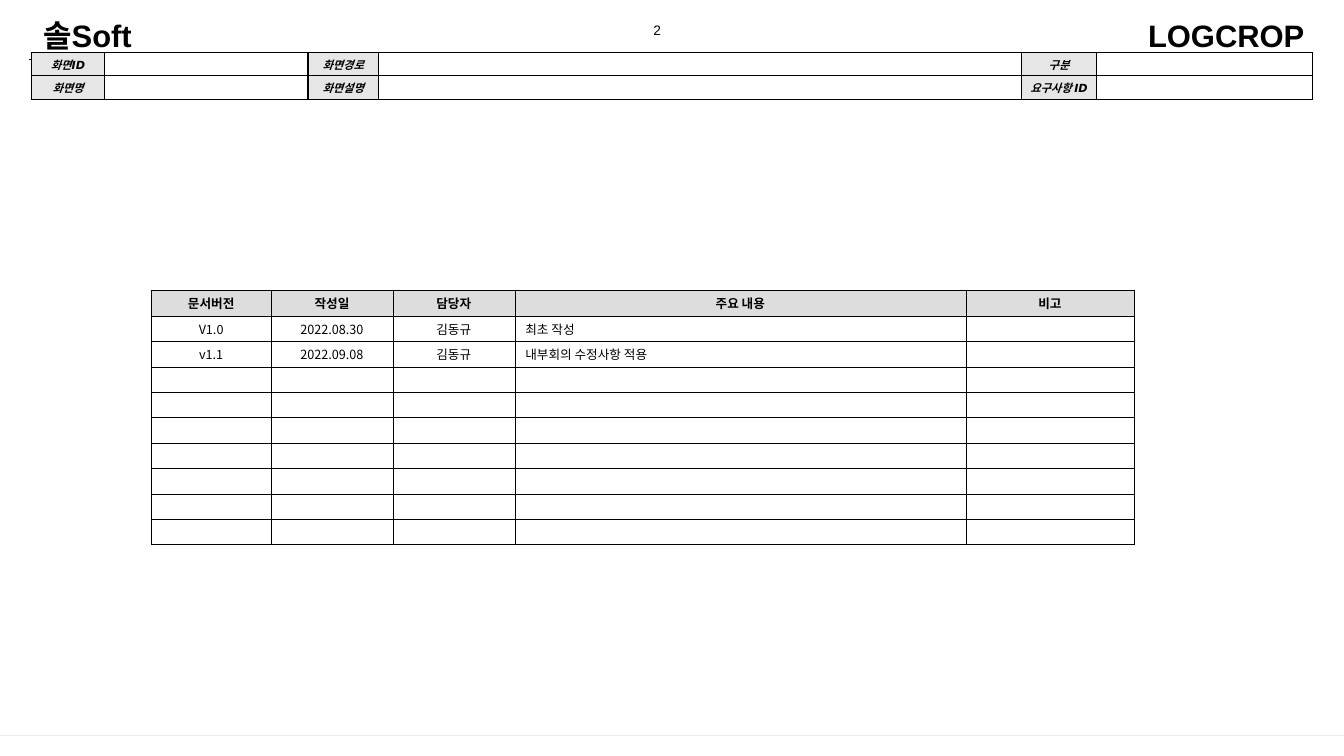
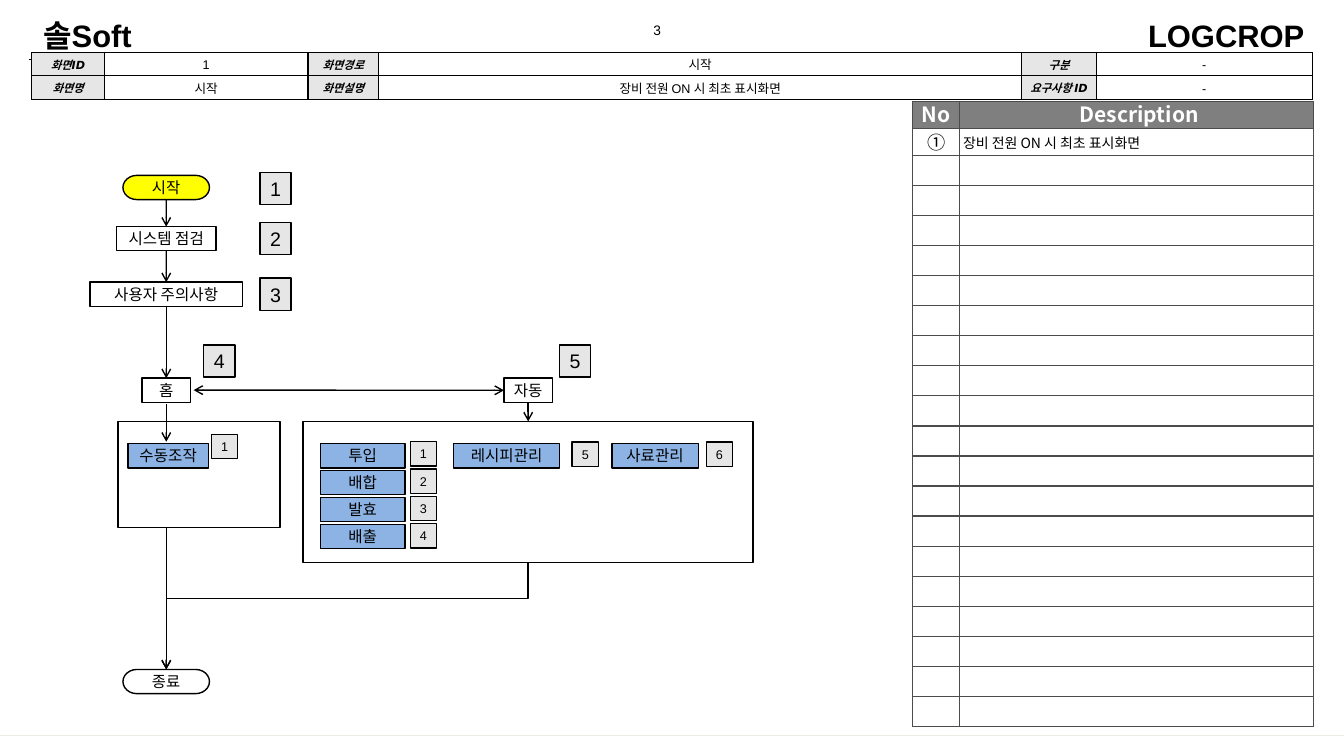
from pptx import Presentation
from pptx.dml.color import RGBColor
from pptx.enum.shapes import MSO_CONNECTOR, MSO_SHAPE
from pptx.enum.text import MSO_ANCHOR, MSO_AUTO_SIZE, PP_ALIGN
from pptx.oxml import parse_xml
from pptx.oxml.ns import nsdecls
from pptx.util import Cm, Pt

RECT, TERMINATOR = MSO_SHAPE.RECTANGLE, MSO_SHAPE.FLOWCHART_TERMINATOR
STRAIGHT, ELBOW = MSO_CONNECTOR.STRAIGHT, MSO_CONNECTOR.ELBOW
LEFT, CENTER, RIGHT = PP_ALIGN.LEFT, PP_ALIGN.CENTER, PP_ALIGN.RIGHT
TOP_ANCHOR, MIDDLE = MSO_ANCHOR.TOP, MSO_ANCHOR.MIDDLE
NO_AUTOFIT = MSO_AUTO_SIZE.NONE
TOP, SIDE_LEFT, BOTTOM, SIDE_RIGHT = range(4)

COLORS = {
    "black": "000000",
    "white": "FFFFFF",
    "label": "E6E6E6",
    "head": "DDDDDD",
    "dark": "7F7F7F",
    "grid": "4C4C4C",
    "footer": "EEECE1",
    "start": "FFFF00",
    "action": "8CB3E4",
}
ARIAL, CALIBRI, DEJAVU, NOTO = "Arial", "Calibri", "DejaVu Sans", "Noto Sans CJK KR"
BRAND, PROJECT = "솔Soft", "LOGCROP"

SLIDE_W, SLIDE_H = 33.87, 19.05
BOX_H = 0.61
MAIN_X, AUTO_X = 4.19, 13.31
PANEL_Y = 10.62
ACTION_Y, ACTION_STEP = 11.18, 0.68
INFO_X, INFO_Y, INFO_ROW = 0.8, 1.32, 0.59
INFO_COLS = [1.83, 5.13, 1.78, 16.21, 1.88, 5.44]

INFO_LABELS = [["화면ID", "", "화면경로", "", "구분"],
               ["화면명", "", "화면설명", "", "요구사항 ID"]]
START_INFO = [["1", "시작", "-"], ["시작", "장비 전원 ON 시 최초 표시화면", "-"]]
VERSIONS = [
    ["문서버전", "작성일", "담당자", "주요 내용", "비고"],
    ["V1.0", "2022.08.30", "김동규", "최초 작성"],
    ["v1.1", "2022.09.08", "김동규", "내부회의 수정사항 적용"],
]
DESCRIPTIONS = [["No", " Description"], ["①", "장비 전원 ON 시 최초 표시화면"]]


def rgb(name):
    """Return the named colour."""
    return RGBColor.from_string(COLORS[name])


def write(tf, text, size, font=ARIAL, color="black", bold=False, italic=False,
          align=CENTER, spacing=None, before=0):
    """Put one formatted paragraph into a text frame."""
    tf.text = text
    p = tf.paragraphs[0]
    p.alignment, p.line_spacing, p.space_before = align, spacing, Pt(before)
    f = p.font
    f.name, f.size, f.bold, f.italic = font, Pt(size), bold, italic
    f.color.rgb = rgb(color)


def set_margins(target, horizontal, vertical):
    """Set the insets of a text frame or a cell."""
    target.margin_left = target.margin_right = Cm(horizontal)
    target.margin_top = target.margin_bottom = Cm(vertical)


def add_box(slide, x, y, w, h, text="", fill="white", line="black",
            shape=RECT, **style):
    """Add a filled shape with an optional label."""
    sp = slide.shapes.add_shape(shape, Cm(x), Cm(y), Cm(w), Cm(h))
    sp.shadow.inherit = False
    sp.fill.solid()
    sp.fill.fore_color.rgb = rgb(fill)
    if line:
        sp.line.color.rgb = rgb(line)
        sp.line.width = Pt(1)
    else:
        sp.line.fill.background()
    tf = sp.text_frame
    set_margins(tf, 0, 0)
    tf.vertical_anchor = MIDDLE
    if text:
        write(tf, text, **style)
    return sp


def add_step(slide, center, y, w, text, **look):
    """Add a flow step centred on a vertical axis."""
    style = {"size": 11.1, "font": CALIBRI, **look}
    return add_box(slide, center - w / 2, y, w, BOX_H, text, **style)


def add_badge(slide, x, y, number, large=False):
    """Add a grey number badge."""
    w, h, size = (0.79, 0.81, 14) if large else (0.66, BOX_H, 9)
    add_box(slide, x, y, w, h, str(number), fill="label", size=size)


def format_line(c, color="black", width=1, head=False, tail=False):
    """Style a connector, its arrowheads and its shadow."""
    c.line.color.rgb = rgb(color)
    c.line.width = Pt(width)
    ln = c.line._get_or_add_ln()
    for tag, wanted in (("headEnd", head), ("tailEnd", tail)):
        if wanted:
            ln.append(parse_xml(f'<a:{tag} {nsdecls("a")} type="arrow"/>'))
    c._element.spPr.append(parse_xml(f'<a:effectLst {nsdecls("a")}/>'))


def add_rule(slide, x1, x2, y, color):
    """Add a thin horizontal rule."""
    c = slide.shapes.add_connector(STRAIGHT, Cm(x1), Cm(y), Cm(x2), Cm(y))
    format_line(c, color, 0.75)


def add_arrow(slide, start, end, both=False):
    """Add an arrow between ends given as (shape, site) or (x, y)."""
    c = slide.shapes.add_connector(STRAIGHT, 0, 0, 0, 0)
    if isinstance(start[0], float):
        c.begin_x, c.begin_y = Cm(start[0]), Cm(start[1])
    else:
        c.begin_connect(*start)
    if isinstance(end[0], float):
        c.end_x, c.end_y = Cm(end[0]), Cm(end[1])
    else:
        c.end_connect(*end)
    format_line(c, head=both, tail=True)


def add_return_arrow(slide, x1, y1, x2, y2):
    """Add an elbow arrow that leaves downwards and turns to the left."""
    w, h = y2 - y1, x1 - x2
    x, y = (x1 + x2 - w) / 2, (y1 + y2 - h) / 2
    c = slide.shapes.add_connector(ELBOW, Cm(x), Cm(y), Cm(x + w), Cm(y + h))
    c._element.spPr.find("{*}xfrm").set("rot", "5400000")
    format_line(c, tail=True)


def set_borders(cell, color, width):
    """Draw the four borders of a cell."""
    tc_pr = cell._tc.get_or_add_tcPr()
    for side in "LRTB":
        tc_pr.append(parse_xml(
            f'<a:ln{side} {nsdecls("a")} w="{int(Pt(width))}"><a:solidFill>'
            f'<a:srgbClr val="{COLORS[color]}"/></a:solidFill></a:ln{side}>'))


def add_grid(slide, x, y, cols, rows, values, style, margins,
             border="black", width=1):
    """Add a table whose cell looks come from style(row, column)."""
    table = slide.shapes.add_table(
        len(rows), len(cols), Cm(x), Cm(y), Cm(sum(cols)), Cm(sum(rows))).table
    table.first_row = table.horz_banding = False
    for column, w in zip(table.columns, cols):
        column.width = Cm(w)
    for row, h in zip(table.rows, rows):
        row.height = Cm(h)
    for r in range(len(rows)):
        for c in range(len(cols)):
            cell = table.cell(r, c)
            look = style(r, c)
            set_borders(cell, border, width)
            cell.fill.solid()
            cell.fill.fore_color.rgb = rgb(look.pop("fill", "white"))
            cell.vertical_anchor = MIDDLE
            set_margins(cell, *margins)
            has_text = r < len(values) and c < len(values[r])
            write(cell.text_frame, values[r][c] if has_text else "", **look)


def info_style(r, c):
    """Return the look of a screen information cell."""
    return {"size": 8, "font": DEJAVU, "bold": True, "italic": True,
            "fill": "white" if c % 2 else "label"}


def version_style(r, c):
    """Return the look of a version history cell."""
    look = {"size": 9, "font": NOTO, "before": 1.8}
    if r == 0:
        return {**look, "bold": True, "fill": "head"}
    return {**look, "align": LEFT if c == 3 else CENTER}


def description_style(r, c):
    """Return the look of a description cell."""
    if r == 0:
        return {"size": 15, "font": NOTO, "bold": True, "color": "white",
                "fill": "dark", "spacing": 0.8}
    if c == 0:
        return {"size": 13, "font": NOTO, "spacing": 0.9}
    return {"size": 10, "font": NOTO, "align": LEFT}


def add_page(prs, number):
    """Add a slide with the shared header, information table and footer."""
    slide = prs.slides.add_slide(prs.slide_layouts[5])
    brand = slide.shapes.add_textbox(Cm(0.43), Cm(0.28), Cm(3.94), Cm(1.24))
    title = slide.shapes.title
    title.left, title.top, title.width, title.height = map(Cm, (28.6, 0.26, 4.57, 1.24))
    for sp, text, align in ((brand, BRAND, LEFT), (title, PROJECT, RIGHT)):
        tf = sp.text_frame
        tf.word_wrap, tf.auto_size, tf.vertical_anchor = True, NO_AUTOFIT, TOP_ANCHOR
        set_margins(tf, 0.3, 0.15)
        write(tf, text, 22.1, bold=True, align=align)
    brand.text_frame.margin_left = Cm(0.66)
    add_rule(slide, 0, SLIDE_W, 18.53, "footer")
    page = add_box(slide, 15.19, 0.41, 1.75, 0.69, str(number), line=None,
                   size=9.8, align=RIGHT)
    page.text_frame.margin_right = Cm(0.28)
    add_rule(slide, 0.74, 32.94, 1.5, "black")
    add_grid(slide, INFO_X, INFO_Y, INFO_COLS, [INFO_ROW] * 2, INFO_LABELS,
             info_style, (0.03, 0.03))
    return slide


def add_info(slide, info):
    """Lay the screen information over the empty columns of its table."""
    for r, entries in enumerate(info):
        for i, text in enumerate(entries):
            c = 2 * i + 1
            x, y = INFO_X + sum(INFO_COLS[:c]), INFO_Y + r * INFO_ROW
            box = slide.shapes.add_textbox(Cm(x), Cm(y), Cm(INFO_COLS[c]), Cm(BOX_H))
            box.text_frame.word_wrap = True
            write(box.text_frame, text, 9)


def add_flow(slide):
    """Draw the screen flow with its panels and badges."""
    add_return_arrow(slide, AUTO_X, 13.29, MAIN_X, 16.87)
    add_box(slide, 2.97, PANEL_Y, 4.09, 2.67)
    auto_panel = add_box(slide, AUTO_X - 5.67, PANEL_Y, 11.34, 3.56)

    start = add_step(slide, MAIN_X, 4.42, 2.18, "시작", shape=TERMINATOR,
                     fill="start", size=11, font=ARIAL)
    check = add_step(slide, MAIN_X, 5.71, 2.51, "시스템 점검")
    notice = add_step(slide, MAIN_X, 7.11, 3.84, "사용자 주의사항")
    home = add_step(slide, MAIN_X, 9.53, 1.22, "홈")
    auto = add_step(slide, AUTO_X, 9.53, 1.22, "자동")
    finish = add_step(slide, MAIN_X, 16.87, 2.18, "종료", shape=TERMINATOR,
                      size=11, font=ARIAL)

    chain = [start, check, notice, home]
    for upper, lower in zip(chain, chain[1:]):
        add_arrow(slide, (upper, BOTTOM), (lower, TOP))
    add_arrow(slide, (auto, SIDE_LEFT), (4.88, 9.83), both=True)
    add_arrow(slide, (auto, BOTTOM), (auto_panel, TOP))
    add_arrow(slide, (MAIN_X, 10.19), (MAIN_X, 11.13))
    add_arrow(slide, (MAIN_X, 13.29), (finish, TOP))

    actions = [("수동조작", 4.24, 0, 2.03), ("레시피관리", 12.77, 0, 2.67),
               ("사료관리", 16.51, 0, 2.18)]
    actions += [(text, 9.14, i, 2.13)
                for i, text in enumerate(["투입", "배합", "발효", "배출"])]
    for text, center, i, w in actions:
        add_step(slide, center, ACTION_Y + i * ACTION_STEP, w, text, fill="action")

    large = [(6.55, 4.35), (6.55, 5.61), (6.55, 7.01), (5.13, 8.69), (14.1, 8.69)]
    for number, (x, y) in enumerate(large, 1):
        add_badge(slide, x, y, number, large=True)
    add_badge(slide, 5.33, 10.95, 1)
    small = [(10.34, 11.13 + i * 0.69) for i in range(4)]
    small += [(14.42, 11.14), (17.8, 11.14)]
    for number, (x, y) in enumerate(small, 1):
        add_badge(slide, x, y, number)


def main():
    """Build and save the presentation."""
    prs = Presentation()
    prs.slide_width, prs.slide_height = Cm(SLIDE_W), Cm(SLIDE_H)

    history = add_page(prs, 2)
    add_grid(history, 3.81, 7.32, [3.02, 3.07, 3.07, 11.37, 4.24], [0.64] * 10,
             VERSIONS, version_style, (0.27, 0.05), width=0.25)

    screen = add_page(prs, 3)
    add_info(screen, START_INFO)
    add_grid(screen, 23, 2.56, [1.19, 8.92],
             [0.68] * 2 + [(15.75 - 2 * 0.68) / 19] * 19, DESCRIPTIONS,
             description_style, (0.08, 0.03), border="grid")
    add_flow(screen)
    prs.save("out.pptx")


if __name__ == "__main__":
    main()
